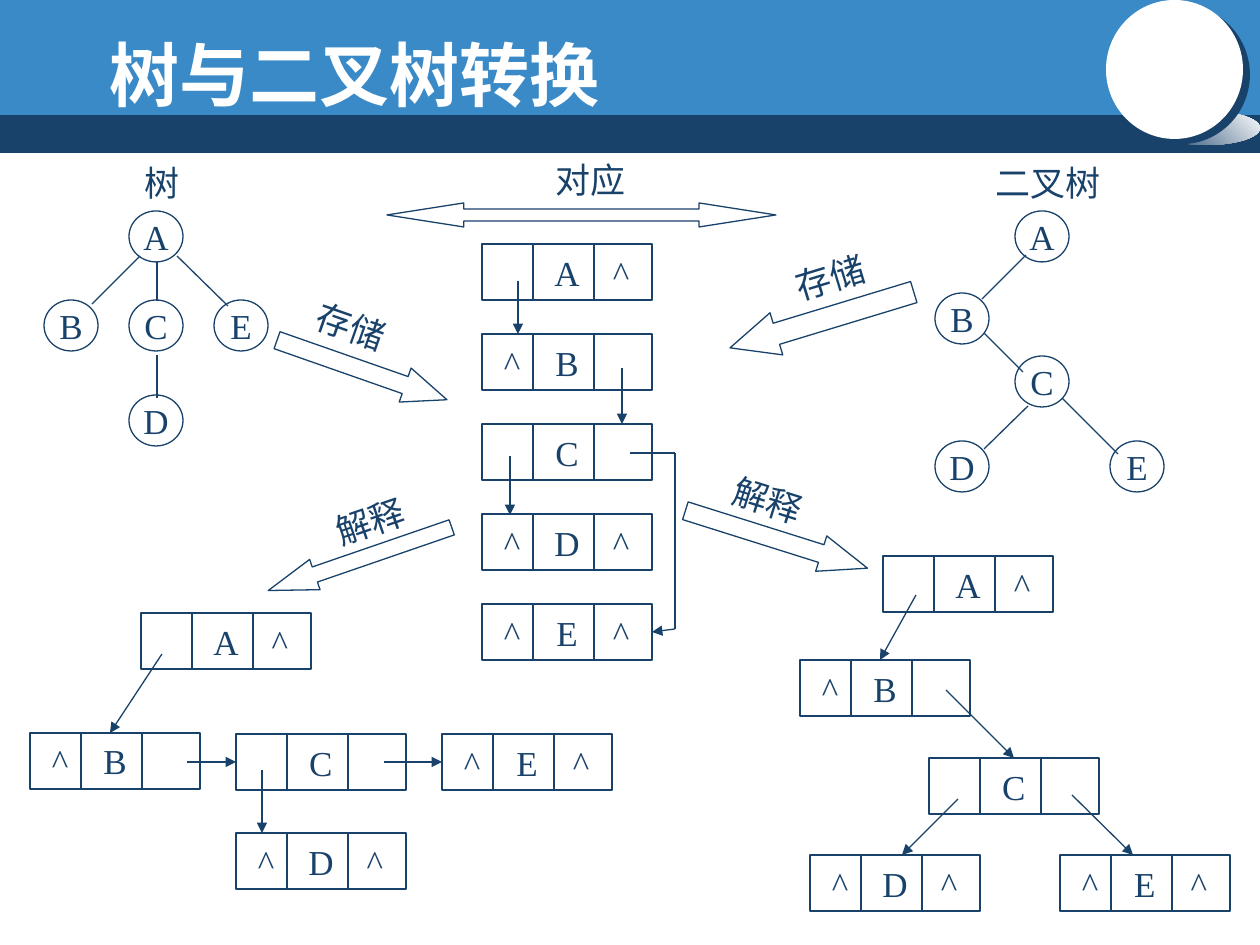
from typing import NamedTuple, Optional

from lxml.etree import SubElement
from pptx import Presentation
from pptx.dml.color import RGBColor
from pptx.enum.shapes import MSO_CONNECTOR, MSO_SHAPE
from pptx.enum.text import MSO_ANCHOR, MSO_AUTO_SIZE, PP_ALIGN
from pptx.oxml.ns import qn
from pptx.util import Emu, Pt

PX_PER_INCH = 126
NAVY, BLUE, WHITE = "19426B", "398AC7", "FFFFFF"
NODE_W, NODE_H = 54, 51
RECORD_W, RECORD_H = 170, 56
DIVIDERS = (51, 112)
FIELD_CENTRES = (30, 85, 139)
TOP, LEFT, RIGHT = 0, 1, 3


class Cell(NamedTuple):
    key: str
    x: int
    y: int


class Link(NamedTuple):
    x1: int
    y1: int
    x2: int
    y2: int
    arrow: bool = True
    target: Optional[str] = None
    site: int = TOP


class Label(NamedTuple):
    text: str
    x: int
    y: int
    width: int
    rotation: float = 0


class BlockArrow(NamedTuple):
    kind: MSO_SHAPE
    x: int
    y: int
    width: int
    height: int
    head: float
    rotation: float = 0


FIELDS = {"A": ("", "A", "^"), "B": ("^", "B", ""), "C": ("", "C", ""),
          "D": ("^", "D", "^"), "E": ("^", "E", "^")}

TREES = [
    ([Cell("A", 129, 211), Cell("B", 44, 300), Cell("C", 129, 300),
      Cell("E", 214, 300), Cell("D", 129, 395)],
     [Link(157, 262, 157, 301, False), Link(157, 355, 157, 398, False),
      Link(140, 256, 92, 304, False), Link(177, 256, 228, 306, False)]),
    ([Cell("A", 1015, 211), Cell("B", 935, 293), Cell("C", 1015, 356),
      Cell("D", 935, 441), Cell("E", 1110, 441)],
     [Link(1026, 255, 982, 299, False), Link(984, 333, 1023, 372, False),
      Link(1062, 398, 1118, 454, False), Link(1028, 406, 984, 449, False)]),
]

LINKED_LISTS = [
    ([Cell(key, 482, 244 + 90 * row) for row, key in enumerate("ABCDE")],
     [Link(518, 281, 518, 334), Link(622, 368, 622, 424), Link(510, 456, 510, 515),
      Link(630, 453, 675, 453, False), Link(675, 453, 675, 629, False),
      Link(675, 629, 653, 633, True, "E", RIGHT)]),
    ([Cell("A", 141, 613), Cell("B", 30, 733), Cell("C", 236, 734),
      Cell("D", 236, 833), Cell("E", 442, 734)],
     [Link(162, 654, 110, 733), Link(187, 762, 236, 762, True, "C", LEFT),
      Link(384, 762, 442, 762, True, "E", LEFT), Link(262, 770, 262, 833)]),
    ([Cell("A", 883, 556), Cell("B", 800, 660), Cell("C", 929, 758),
      Cell("D", 810, 855), Cell("E", 1060, 855)],
     [Link(916, 595, 880, 660), Link(946, 690, 1014, 758, True, "C", TOP),
      Link(958, 799, 902, 855), Link(1072, 795, 1133, 855)]),
]

BLOCK_ARROWS = [
    BlockArrow(MSO_SHAPE.LEFT_RIGHT_ARROW, 387, 203, 389, 24, 3.2),
    BlockArrow(MSO_SHAPE.RIGHT_ARROW, 272, 352, 180, 36, 1.23, 19.3),
    BlockArrow(MSO_SHAPE.LEFT_ARROW, 726, 298, 192, 44, 1.1, 343.1),
    BlockArrow(MSO_SHAPE.LEFT_ARROW, 263, 543, 194, 32, 1.54, 341),
    BlockArrow(MSO_SHAPE.RIGHT_ARROW, 681, 521, 191, 37, 1.31, 17.5),
]

LABELS = [
    Label("树", 132, 155, 60), Label("二叉树", 983, 155, 130), Label("对应", 543, 152, 96),
    Label("存储", 303, 299, 96, 19.3), Label("存储", 782, 250, 96, 343.1),
    Label("解释", 322, 494, 96, 341), Label("解释", 720, 473, 96, 17.5),
]


def px(length: int) -> Emu:
    """Turn pixels into EMU."""
    return Emu(round(length * 914400 / PX_PER_INCH))


def paint(target, colour: str) -> None:
    """Set a colour format from a hex string."""
    target.rgb = RGBColor.from_string(colour)


def write(shape, text: str, *, size=20, font="Times New Roman", colour=NAVY, bold=False,
          align=PP_ALIGN.CENTER, anchor=MSO_ANCHOR.MIDDLE, wrap=False, inset_left=0, inset_top=0):
    """Put formatted text into a shape and return its paragraph."""
    frame = shape.text_frame
    frame.auto_size = MSO_AUTO_SIZE.NONE
    frame.word_wrap = wrap
    frame.vertical_anchor = anchor
    frame.margin_left, frame.margin_top = px(inset_left), px(inset_top)
    frame.margin_right = frame.margin_bottom = 0
    paragraph = frame.paragraphs[0]
    paragraph.alignment = align
    run = paragraph.add_run()
    run.text = text
    run.font.size, run.font.name, run.font.bold = Pt(size), font, bold
    paint(run.font.color, colour)
    return paragraph


def add_block(slide, kind, x: int, y: int, width: int, height: int, fill: Optional[str] = None):
    """Draw a filled shape without outline, or an outlined one without fill."""
    block = slide.shapes.add_shape(kind, px(x), px(y), px(width), px(height))
    block.shadow.inherit = False
    if fill:
        block.fill.solid()
        paint(block.fill.fore_color, fill)
        block.line.fill.background()
    else:
        block.fill.background()
        paint(block.line.color, NAVY)
        block.line.width = Pt(0.75)
    return block


def add_link(slide, link: Link, records: Optional[dict] = None) -> None:
    """Draw a straight line, with an arrowhead and a glued end where asked."""
    connector = slide.shapes.add_connector(
        MSO_CONNECTOR.STRAIGHT, px(link.x1), px(link.y1), px(link.x2), px(link.y2))
    paint(connector.line.color, NAVY)
    connector.line.width = Pt(0.75)
    properties = connector.element.spPr
    if link.arrow:
        SubElement(properties.find(qn("a:ln")), qn("a:tailEnd"), type="triangle")
    SubElement(properties, qn("a:effectLst"))
    if link.target:
        connector.end_connect(records[link.target], link.site)


def add_record(slide, cell: Cell):
    """Draw a three-field record with its text centred on tab stops."""
    record = add_block(slide, MSO_SHAPE.RECTANGLE, cell.x, cell.y, RECORD_W, RECORD_H)
    text = "".join(f"\t{field}" for field in FIELDS[cell.key]).rstrip()
    paragraph = write(record, text if FIELDS[cell.key][0] else f"\t\t{text.lstrip()}",
                      align=PP_ALIGN.LEFT, wrap=True)
    stops = SubElement(paragraph._p.get_or_add_pPr(), qn("a:tabLst"))
    for centre in FIELD_CENTRES:
        SubElement(stops, qn("a:tab"), pos=str(px(centre)), algn="ctr")
    for offset in DIVIDERS:
        x = cell.x + offset
        add_link(slide, Link(x, cell.y, x, cell.y + RECORD_H, False))
    return record


def add_header(slide) -> None:
    """Draw the title band, its round badge and the title."""
    add_block(slide, MSO_SHAPE.RECTANGLE, 0, 110, 1260, 43, NAVY)
    add_block(slide, MSO_SHAPE.RECTANGLE, 0, 0, 1260, 115, BLUE)
    glow = add_block(slide, MSO_SHAPE.OVAL, 1153, 111, 107, 34, WHITE)
    glow.fill.gradient()
    glow.fill.gradient_angle = 45
    for stop, colour, position in zip(glow.fill.gradient_stops, (NAVY, WHITE), (0, 1)):
        paint(stop.color, colour)
        stop.position = position
    badge = add_block(slide, MSO_SHAPE.OVAL, 1106, 0, 137, 139, WHITE)
    shadow = SubElement(badge.element.spPr.find(qn("a:effectLst")), qn("a:outerShdw"),
                        dist=str(Pt(5)), dir=str(37 * 60000), algn="ctr", rotWithShape="0")
    SubElement(shadow, qn("a:srgbClr"), val=NAVY)
    title = slide.shapes.title
    title.left, title.top, title.width, title.height = px(34), px(26), px(1172), px(106)
    write(title, "树与二叉树转换", size=40, font="Arial", colour=WHITE, bold=True,
          align=PP_ALIGN.LEFT, anchor=MSO_ANCHOR.TOP, wrap=True, inset_left=76, inset_top=6)
    title.element.getparent().append(title.element)


def main() -> None:
    """Build the slide and save it."""
    deck = Presentation()
    deck.slide_width, deck.slide_height = px(1260), px(945)
    slide = deck.slides.add_slide(deck.slide_layouts[5])
    add_header(slide)
    for nodes, edges in TREES:
        for node in nodes:
            write(add_block(slide, MSO_SHAPE.OVAL, node.x, node.y, NODE_W, NODE_H), node.key)
        for edge in edges:
            add_link(slide, edge)
    for cells, links in LINKED_LISTS:
        records = {cell.key: add_record(slide, cell) for cell in cells}
        for link in links:
            add_link(slide, link, records)
    for arrow in BLOCK_ARROWS:
        block = add_block(slide, arrow.kind, arrow.x, arrow.y, arrow.width, arrow.height)
        block.adjustments[0], block.adjustments[1] = 0.5, arrow.head
        block.rotation = arrow.rotation
    for label in LABELS:
        caption = slide.shapes.add_textbox(px(label.x), px(label.y), px(label.width), px(54))
        caption.rotation = label.rotation
        write(caption, label.text)
    deck.save("out.pptx")


if __name__ == "__main__":
    main()
